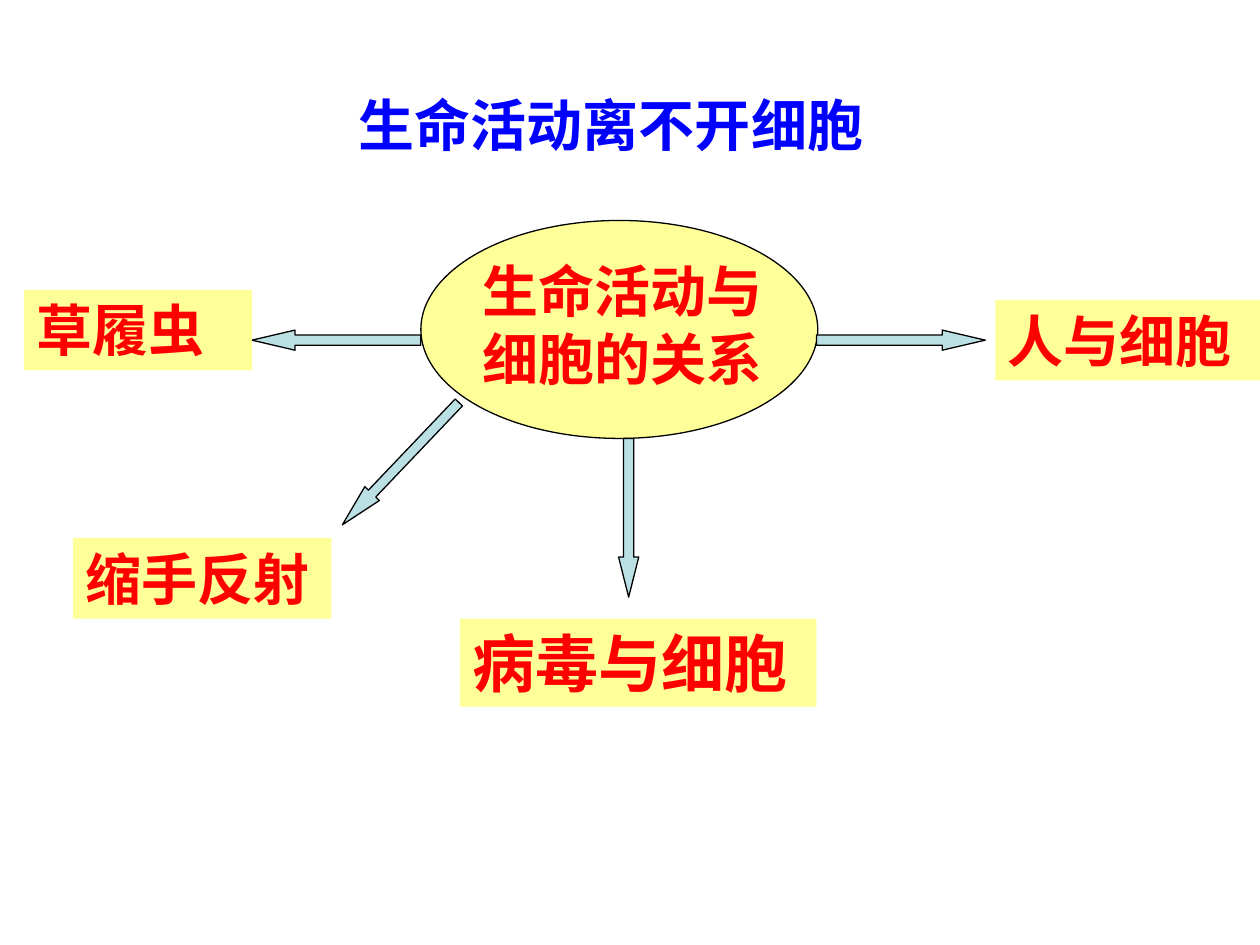
"""Build a slide on how life activities depend on cells."""
import dataclasses

import pptx
import pptx.dml.color
import pptx.enum.shapes
import pptx.enum.text
import pptx.util

Inches = pptx.util.Inches
Shape = pptx.enum.shapes.MSO_SHAPE


@dataclasses.dataclass(frozen=True)
class Theme:
    font: str = "Times New Roman"
    title: str = "0000FF"
    text: str = "FF0000"
    panel: str = "FFFF99"
    arrow: str = "BBE0E3"
    outline: str = "000000"
    body_size: int = 32
    large_size: int = 36
    line_width: float = 0.75


def rgb(value):
    return pptx.dml.color.RGBColor.from_string(value)


def write(sp, text, *, font, size, color):
    tf = sp.text_frame
    tf.word_wrap = True
    tf.auto_size = pptx.enum.text.MSO_AUTO_SIZE.SHAPE_TO_FIT_TEXT
    tf.vertical_anchor = pptx.enum.text.MSO_ANCHOR.TOP
    for i, line in enumerate(text.split("\n")):
        p = tf.add_paragraph() if i else tf.paragraphs[0]
        p.alignment = pptx.enum.text.PP_ALIGN.LEFT
        r = p.add_run()
        r.text = line
        r.font.name = font
        r.font.size = pptx.util.Pt(size)
        r.font.bold = True
        r.font.color.rgb = rgb(color)


class Board:
    def __init__(self, slide, theme):
        self.slide = slide
        self.theme = theme

    def text(self, text, box, color, shapes=None):
        shapes = shapes or self.slide.shapes
        sp = shapes.add_textbox(*map(Inches, box))
        write(sp, text, font=self.theme.font, size=self.theme.body_size, color=color)

    def shape(self, kind, box, fill, outlined=True, shapes=None):
        shapes = shapes or self.slide.shapes
        sp = shapes.add_shape(kind, *map(Inches, box))
        sp.shadow.inherit = False
        sp.fill.solid()
        sp.fill.fore_color.rgb = rgb(fill)
        if outlined:
            sp.line.color.rgb = rgb(self.theme.outline)
            sp.line.width = pptx.util.Pt(self.theme.line_width)
        else:
            sp.line.fill.background()
        return sp

    def label(self, text, box, size):
        sp = self.shape(Shape.RECTANGLE, box, self.theme.panel, outlined=False)
        write(sp, text, font=self.theme.font, size=size, color=self.theme.text)

    def arrow(self, kind, box, head, rotation=0):
        sp = self.shape(kind, box, self.theme.arrow)
        sp.adjustments[0] = 0.5
        sp.adjustments[1] = head
        sp.rotation = rotation

    def hub(self, text, oval_box, text_box):
        shapes = self.slide.shapes.add_group_shape().shapes
        self.shape(Shape.OVAL, oval_box, self.theme.panel, shapes=shapes)
        self.text(text, text_box, self.theme.text, shapes)


def main():
    prs = pptx.Presentation()
    prs.slide_width, prs.slide_height = Inches(10), Inches(7.5)
    theme = Theme()
    board = Board(prs.slides.add_slide(prs.slide_layouts[6]), theme)

    board.text("生命活动离不开细胞", (2.75, 0.67, 4.61, 0.64), theme.title)
    board.hub("生命活动与\n细胞的关系", (3.34, 1.75, 3.15, 1.73), (3.73, 1.99, 2.52, 1.17))

    length, thick = 1.34, 0.16
    for kind, box, head, rotation in (
        (Shape.LEFT_ARROW, (2, 2.62, length, thick), 2.14, 0),
        (Shape.RIGHT_ARROW, (6.48, 2.62, length, thick), 2.14, 0),
        (Shape.DOWN_ARROW, (4.91, 3.48, thick, 1.26), 1.99, 0),
        (Shape.LEFT_ARROW, (2.51, 3.6, length, thick), 2.14, 313.6),
    ):
        board.arrow(kind, box, head, rotation)

    for text, box, size in (
        ("草履虫", (0.19, 2.3, 1.81, 0.64), theme.body_size),
        ("人与细胞", (7.9, 2.38, 2.1, 0.64), theme.body_size),
        ("病毒与细胞", (3.65, 4.91, 2.83, 0.7), theme.large_size),
        ("缩手反射", (0.58, 4.27, 2.05, 0.64), theme.body_size),
    ):
        board.label(text, box, size)

    prs.save("out.pptx")


if __name__ == "__main__":
    main()
